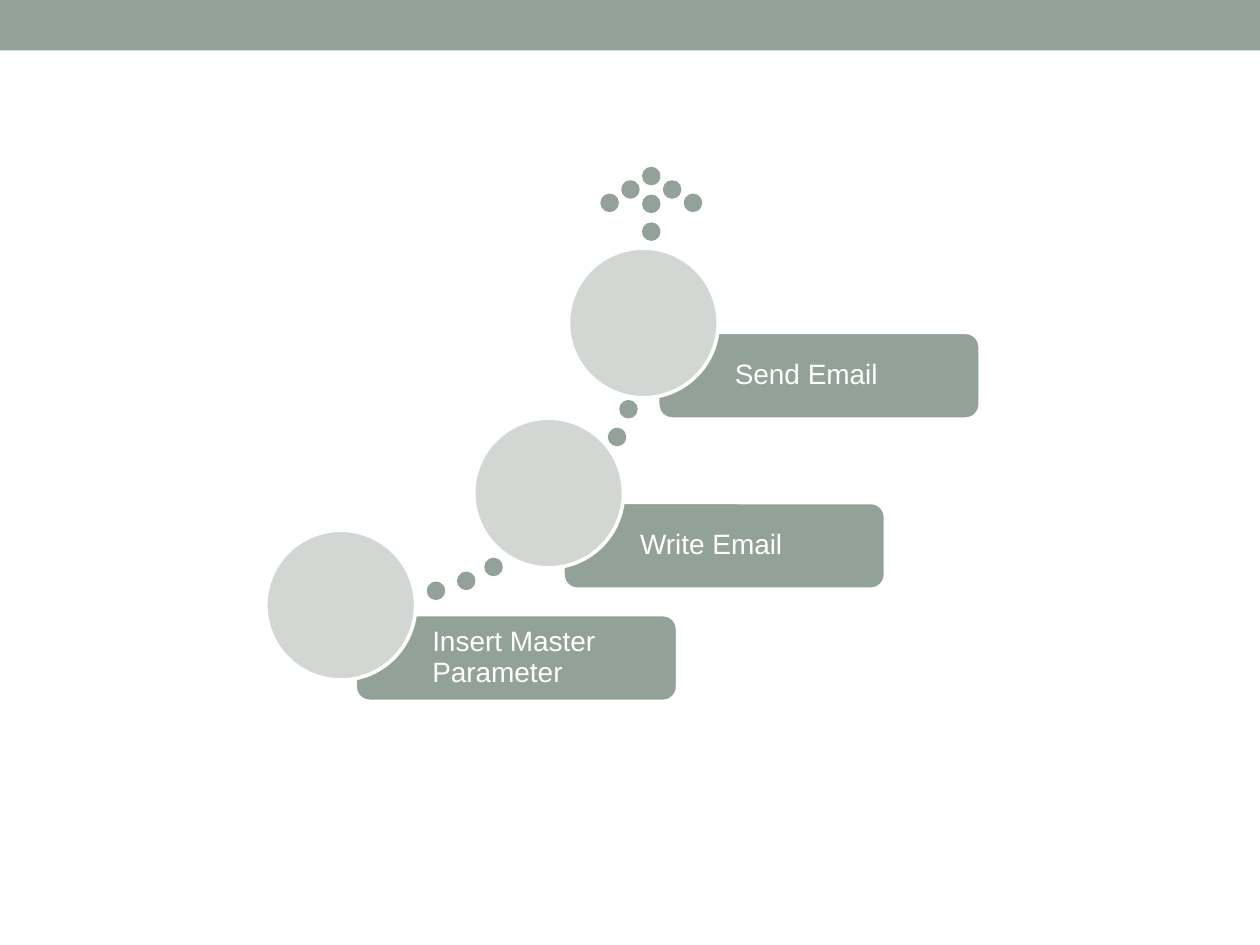
from dataclasses import dataclass

from pptx import Presentation
from pptx.dml.color import RGBColor
from pptx.enum.shapes import MSO_SHAPE
from pptx.enum.text import MSO_ANCHOR, PP_ALIGN
from pptx.util import Cm, Pt


@dataclass(frozen=True)
class Theme:
    """Colours, font and sizes used on the slide."""

    sage: RGBColor = RGBColor(0x93, 0xA2, 0x99)
    pale: RGBColor = RGBColor(0xD2, 0xD7, 0xD4)
    white: RGBColor = RGBColor(0xFF, 0xFF, 0xFF)
    font: str = "Arial"
    label_size: Pt = Pt(16)
    outline: Pt = Pt(2.08)


THEME = Theme()
SLIDE_WIDTH, SLIDE_HEIGHT = 25.4, 19.05
DOT_SIZE = 0.3
CIRCLE_SIZE = 3.02
BAR_SIZE = (6.5, 1.75)
BAR_OFFSET = (1.8, 1.7)
STEPS = [
    ("Insert Master Parameter", 5.36, 10.69),
    ("Write Email", 9.55, 8.43),
    ("Send Email", 11.46, 5.0),
]
TRAIL_DOTS = [(9.8, 11.28), (9.25, 11.56), (8.64, 11.76), (12.52, 8.1), (12.29, 8.66)]
ARROW_TIP = (12.98, 3.4)
HEAD_STEP = (0.42, 0.27)
STEM_STEP = 0.56


def add_block(slide, preset, left, top, width, height, fill, outline=None):
    """Add a flat preset shape measured in centimetres."""
    block = slide.shapes.add_shape(preset, Cm(left), Cm(top), Cm(width), Cm(height))
    block.shadow.inherit = False
    block.fill.solid()
    block.fill.fore_color.rgb = fill
    if outline is None:
        block.line.fill.background()
    else:
        block.line.color.rgb = outline
        block.line.width = THEME.outline
    return block


def add_dot(slide, left, top):
    """Add one dot of a dotted path."""
    add_block(slide, MSO_SHAPE.OVAL, left, top, DOT_SIZE, DOT_SIZE, THEME.sage, THEME.sage)


def add_dotted_arrow(slide):
    """Add the upward arrow made of a five-dot head and a two-dot stem."""
    tip_left, tip_top = ARROW_TIP
    across, down = HEAD_STEP
    for position in range(-2, 3):
        add_dot(slide, tip_left + position * across, tip_top + abs(position) * down)
    for position in (1, 2):
        add_dot(slide, tip_left, tip_top + position * STEM_STEP)


def write_label(bar, label):
    """Write a step label to the right of its circle."""
    frame = bar.text_frame
    frame.word_wrap = True
    frame.vertical_anchor = MSO_ANCHOR.MIDDLE
    frame.margin_left = Cm(1.47)
    frame.margin_right = frame.margin_top = frame.margin_bottom = Cm(0.18)
    frame.text = label
    paragraph = frame.paragraphs[0]
    paragraph.alignment = PP_ALIGN.LEFT
    paragraph.line_spacing = 0.9
    font = paragraph.runs[0].font
    font.name = THEME.font
    font.size = THEME.label_size
    font.color.rgb = THEME.white


def add_step(slide, label, left, top):
    """Add a labelled bar with its circle overlapping the corner."""
    bar = add_block(slide, MSO_SHAPE.ROUNDED_RECTANGLE, left + BAR_OFFSET[0],
                    top + BAR_OFFSET[1], *BAR_SIZE, THEME.sage, THEME.white)
    write_label(bar, label)
    add_block(slide, MSO_SHAPE.OVAL, left, top, CIRCLE_SIZE, CIRCLE_SIZE,
              THEME.pale, THEME.white)


def main():
    """Build the email process slide and save it."""
    deck = Presentation()
    deck.slide_width, deck.slide_height = Cm(SLIDE_WIDTH), Cm(SLIDE_HEIGHT)
    slide = deck.slides.add_slide(deck.slide_layouts.get_by_name("Blank"))
    add_block(slide, MSO_SHAPE.RECTANGLE, 0, 0, SLIDE_WIDTH, 1.02, THEME.sage)
    for left, top in TRAIL_DOTS:
        add_dot(slide, left, top)
    add_dotted_arrow(slide)
    for label, left, top in STEPS:
        add_step(slide, label, left, top)
    deck.save("out.pptx")


if __name__ == "__main__":
    main()
